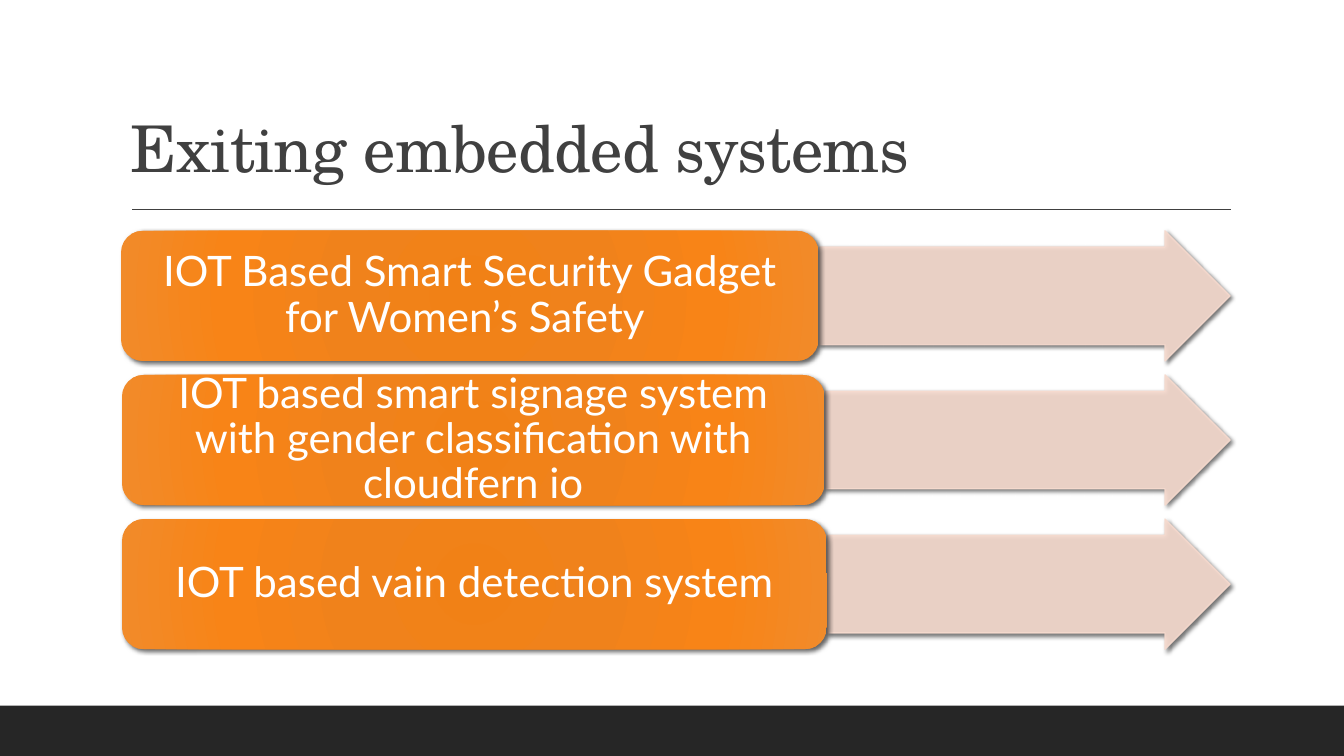
from lxml import etree
from pptx import Presentation
from pptx.dml.color import RGBColor
from pptx.enum.shapes import MSO_CONNECTOR, MSO_SHAPE
from pptx.enum.text import MSO_ANCHOR, PP_ALIGN
from pptx.oxml import parse_xml
from pptx.oxml.ns import nsdecls, qn
from pptx.util import Inches, Pt

RECT, PILL, ARROW = MSO_SHAPE.RECTANGLE, MSO_SHAPE.ROUNDED_RECTANGLE, MSO_SHAPE.RIGHT_ARROW
STRAIGHT = MSO_CONNECTOR.STRAIGHT
BOTTOM, MIDDLE = MSO_ANCHOR.BOTTOM, MSO_ANCHOR.MIDDLE
LEFT, CENTER = PP_ALIGN.LEFT, PP_ALIGN.CENTER

SLIDE_W, SLIDE_H = 13.33, 7.5
INK, BAND, BLUSH, WHITE = "404040", "262626", "F6DACE", "FFFFFF"
ORANGE_STOPS = [(0, "F18116"), (34, "F0821B"), (70, "F88417"), (100, "F18B2A")]
ROW_H, ROW_GAP = 1.29, 0.14

# Each system with the left edge and width of its label
SYSTEMS = [
    ("IOT Based Smart Security Gadget for Women’s Safety ", 1.2, 6.92),
    ("IOT based smart signage system with gender classification with cloudfern io", 1.21, 6.97),
    ("IOT based vain detection system", 1.21, 6.99),
]


def color(hex_code):
    """Turn a hex string into a colour."""
    return RGBColor.from_string(hex_code)


def add_block(slide, kind, box, fill):
    """Add a filled preset shape without outline or theme shadow."""
    block = slide.shapes.add_shape(kind, *map(Inches, box))
    block.shadow.inherit = False
    block.fill.solid()
    block.fill.fore_color.rgb = color(fill)
    block.line.fill.background()
    return block


def add_shadow(block, blur):
    """Cast a soft black shadow towards the lower right."""
    effects = block._element.spPr.find(qn("a:effectLst"))
    effects.append(parse_xml(
        f'<a:outerShdw {nsdecls("a")} blurRad="{Pt(blur)}" dist="{Pt(2)}" '
        'dir="2700000" algn="br" rotWithShape="0"><a:srgbClr val="000000">'
        '<a:alpha val="60000"/></a:srgbClr></a:outerShdw>'))


def soften(block):
    """Make the fill and the line of a block 90% opaque."""
    for swatch in block._element.spPr.iter(qn("a:srgbClr")):
        etree.SubElement(swatch, qn("a:alpha")).set("val", "90000")


def add_glow(block):
    """Replace the solid fill by the circular orange gradient."""
    stops = "".join(f'<a:gs pos="{share * 1000}"><a:srgbClr val="{tint}"/></a:gs>'
                    for share, tint in ORANGE_STOPS)
    solid = block._element.spPr.find(qn("a:solidFill"))
    solid.getparent().replace(solid, parse_xml(
        f'<a:gradFill {nsdecls("a")} rotWithShape="1"><a:gsLst>{stops}</a:gsLst>'
        '<a:path path="circle"><a:fillToRect l="100000" t="100000" r="100000" b="100000"/>'
        '</a:path></a:gradFill>'))


def write(holder, text, ink, font, paragraph, frame):
    """Write one paragraph, with formats taken from dicts."""
    body = holder.text_frame
    line = body.paragraphs[0]
    run = line.add_run()
    run.text = text
    run.font.color.rgb = color(ink)
    for target, formats in ((run.font, font), (line, paragraph), (body, frame)):
        for key, value in formats.items():
            setattr(target, key, value)
    return run


def add_heading(slide, box, text):
    """Place the title at the bottom of its box, with a rule below."""
    left, top, width, height = box
    title = slide.shapes.add_textbox(*map(Inches, box))
    run = write(title, text, INK, {"name": "TeX Gyre Schola", "size": Pt(46)},
                {"line_spacing": 0.9, "alignment": LEFT},
                {"word_wrap": True, "vertical_anchor": BOTTOM})
    run.font._element.set("spc", "-50")
    rule_y = Inches(top + height + 0.18)
    rule = slide.shapes.add_connector(
        STRAIGHT, Inches(left + 0.11), rule_y, Inches(left + width + 0.01), rule_y)
    rule.line.color.rgb = color(INK)
    rule.line.width = Pt(1)
    etree.SubElement(rule._element.spPr, qn("a:effectLst"))


def add_system(slide, box, text, right):
    """Place one system's label and the arrow from it to the right edge."""
    left, top, width, height = box
    arrow_left = left + width + 0.01
    arrow = add_block(slide, ARROW, (arrow_left, top, right - arrow_left, height), BLUSH)
    arrow.adjustments[0], arrow.adjustments[1] = 0.75, 0.5
    arrow.line.color.rgb = color(BLUSH)
    arrow.line.width = Pt(1)
    soften(arrow)
    add_shadow(arrow, 3)
    label = add_block(slide, PILL, box, ORANGE_STOPS[0][1])
    add_glow(label)
    add_shadow(label, 3.5)
    write(label, text, WHITE, {"name": "Lato", "size": Pt(30)},
          {"line_spacing": 0.9, "alignment": CENTER},
          {"word_wrap": True, "vertical_anchor": MIDDLE,
           "margin_left": Inches(0.12), "margin_right": Inches(0.12),
           "margin_top": Inches(0.06), "margin_bottom": Inches(0.06)})


def build_slide(deck):
    """Build the slide from footer band, heading and system rows."""
    slide = deck.slides.add_slide(deck.slide_layouts[6])
    add_block(slide, RECT, (0, SLIDE_H - 0.5, SLIDE_W, 0.5), BAND)
    add_heading(slide, (1.2, 0.31, 11, 1.59), "Exiting embedded systems")
    for row, (text, left, width) in enumerate(SYSTEMS):
        top = 2.29 + row * (ROW_H + ROW_GAP)
        add_system(slide, (left, top, width, ROW_H), text, 12.2)


deck = Presentation()
deck.slide_width, deck.slide_height = Inches(SLIDE_W), Inches(SLIDE_H)
build_slide(deck)
deck.save("out.pptx")
